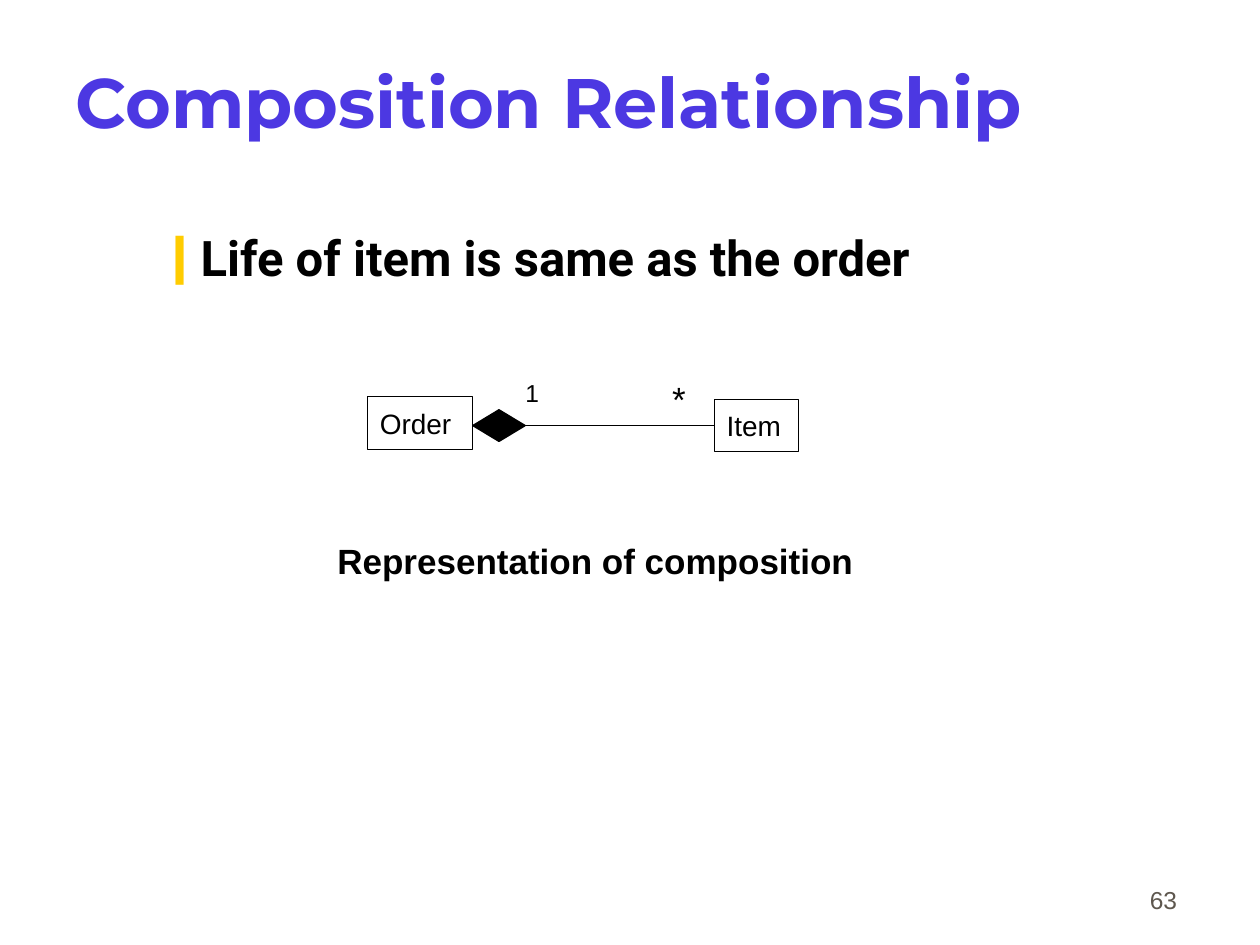
from lxml import etree
from pptx import Presentation
from pptx.dml.color import RGBColor
from pptx.enum.shapes import MSO_CONNECTOR, MSO_SHAPE
from pptx.enum.text import MSO_ANCHOR, MSO_AUTO_SIZE, PP_ALIGN
from pptx.oxml.ns import qn
from pptx.util import Cm, Pt

VIOLET = RGBColor(0x4C, 0x38, 0xE2)
YELLOW = RGBColor(0xFF, 0xCC, 0x00)
BLACK = RGBColor(0x00, 0x00, 0x00)
GREY = RGBColor(0x5E, 0x57, 0x4E)


def place(sp, left, top, width, height):
    sp.left, sp.top, sp.width, sp.height = Cm(left), Cm(top), Cm(width), Cm(height)


def write(sp, text, size, font="Arial", color=BLACK, bold=False,
          anchor=MSO_ANCHOR.TOP, align=PP_ALIGN.LEFT, inset=0.25, wrap=True):
    tf = sp.text_frame
    tf.auto_size = MSO_AUTO_SIZE.NONE
    tf.word_wrap = wrap
    tf.vertical_anchor = anchor
    tf.margin_left = tf.margin_right = Cm(inset)
    tf.margin_top = tf.margin_bottom = Cm(min(inset, 0.13))
    p = tf.paragraphs[0]
    p.alignment = align
    p.space_before = Pt(0)
    r = p.add_run()
    r.text = text
    r.font.size, r.font.name, r.font.bold = Pt(size), font, bold
    r.font.color.rgb = color


prs = Presentation()
prs.slide_width, prs.slide_height = Cm(25.4), Cm(19.05)
s = prs.slides.add_slide(prs.slide_layouts[1])

# Title
title = s.shapes.title
place(title, 1.07, 0.43, 21.59, 3.18)
write(title, "Composition Relationship", 40, "Montserrat", VIOLET, True,
      anchor=MSO_ANCHOR.MIDDLE, inset=0.45)

# Statement with a yellow bar as bullet
body = s.placeholders[1]
place(body, 1.9, 4.45, 21.6, 2.1)
write(body, "Life of item is same as the order", 28, "Roboto", bold=True, inset=0.05)
body.text_frame.margin_top = Cm(0.13)
pPr = body.text_frame.paragraphs[0]._p.get_or_add_pPr()
pPr.set("marL", str(Cm(2.06)))
pPr.set("indent", str(Cm(-0.79)))
bu_clr = etree.SubElement(pPr, qn("a:buClr"))
etree.SubElement(bu_clr, qn("a:srgbClr"), val=str(YELLOW))
etree.SubElement(pPr, qn("a:buChar"), char="❙")

# Classes and the composition diamond
nodes = []
for kind, left, top, width, height, text in [
    (MSO_SHAPE.RECTANGLE, 7.41, 8.0, 2.12, 1.06, "Order"),
    (MSO_SHAPE.RECTANGLE, 14.4, 8.05, 1.7, 1.06, "Item"),
    (MSO_SHAPE.FLOWCHART_DECISION, 9.53, 8.26, 1.06, 0.64, ""),
]:
    sp = s.shapes.add_shape(kind, Cm(left), Cm(top), Cm(width), Cm(height))
    sp.shadow.inherit = False
    sp.line.color.rgb = BLACK
    sp.line.width = Pt(0.75)
    if text:
        sp.fill.background()
        write(sp, text, 16, anchor=MSO_ANCHOR.MIDDLE)
    else:
        sp.fill.solid()
        sp.fill.fore_color.rgb = BLACK
    nodes.append(sp)
order, item, diamond = nodes

# Association line
line = s.shapes.add_connector(MSO_CONNECTOR.STRAIGHT, Cm(10.59), Cm(8.58), Cm(14.4), Cm(8.58))
line.begin_connect(diamond, 3)
line.end_connect(item, 1)
line.line.color.rgb = BLACK
line.line.width = Pt(0.75)
etree.SubElement(line._element.spPr, qn("a:effectLst"))

# Multiplicities, caption and page number
for text, box, style in [
    ("1", (10.59, 7.62, 0.28, 0.58), dict(size=14, inset=0, wrap=False)),
    ("*", (13.55, 7.62, 0.28, 0.84), dict(size=20, inset=0, wrap=False)),
    ("Representation of composition", (6.55, 10.75, 10.92, 1.12),
     dict(size=20, bold=True, wrap=False)),
    ("63", (18.7, 17.3, 5.28, 1.27),
     dict(size=14, color=GREY, anchor=MSO_ANCHOR.BOTTOM, align=PP_ALIGN.RIGHT)),
]:
    sp = s.shapes.add_textbox(*map(Cm, box))
    write(sp, text, **style)

prs.save("out.pptx")
